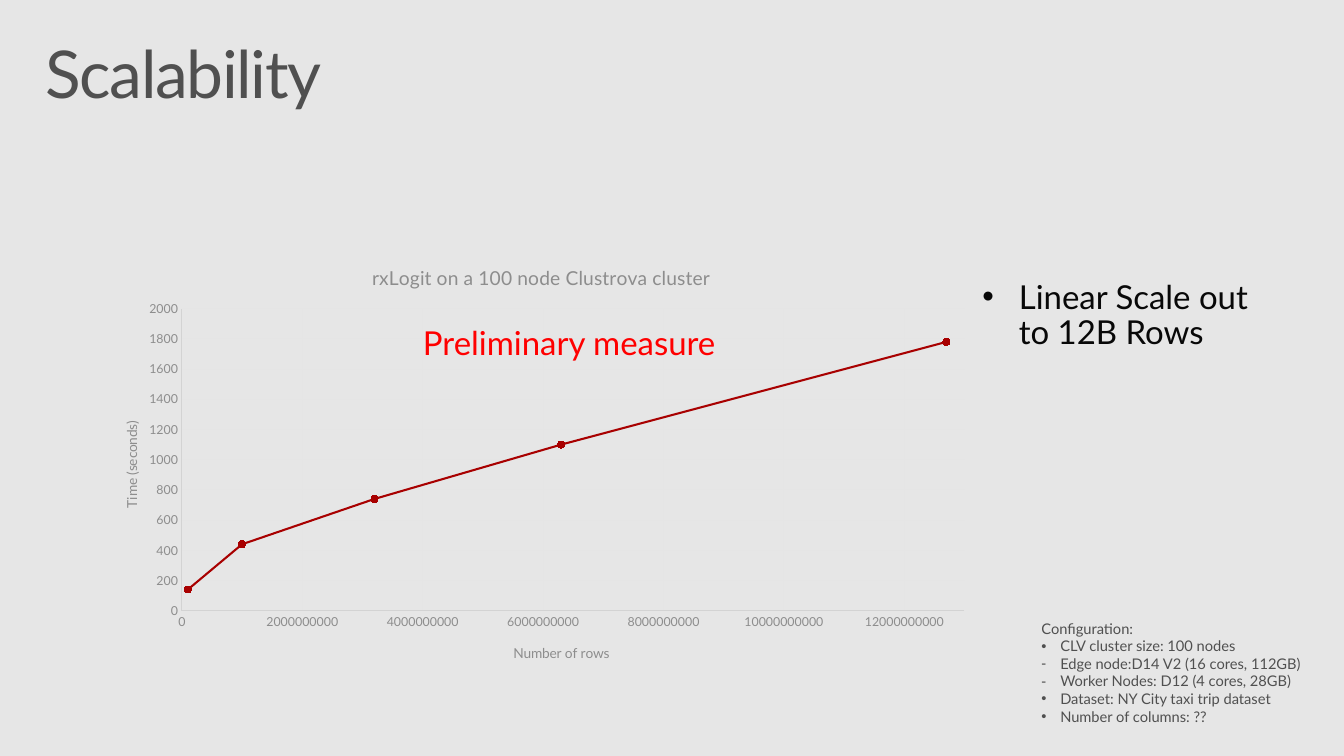
from dataclasses import dataclass

from lxml.etree import SubElement
from pptx import Presentation
from pptx.chart.data import XyChartData
from pptx.dml.color import RGBColor
from pptx.enum.chart import XL_CHART_TYPE, XL_MARKER_STYLE, XL_TICK_MARK
from pptx.enum.text import MSO_AUTO_SIZE
from pptx.oxml import parse_xml
from pptx.oxml.ns import nsdecls, qn
from pptx.util import Inches, Pt


@dataclass(frozen=True)
class Theme:
    font: str = "Lato"
    background: str = "E6E6E6"
    text: str = "505050"
    muted: str = "8D8D8D"
    dark: str = "080808"
    warning: str = "FF0000"
    series: str = "A80000"
    axis: str = "D3D3D3"
    grid: str = "E5E5E5"
    heading_size: float = 48
    callout_size: float = 24
    chart_title_size: float = 14
    axis_title_size: float = 10
    tick_size: float = 9
    note_size: float = 10.7


@dataclass(frozen=True)
class Line:
    text: str
    bullet: str = ""


@dataclass(frozen=True)
class TextBlock:
    left: float
    top: float
    width: float
    height: float
    lines: tuple[Line, ...]
    size: float
    color: str
    inset: tuple[float, float] = (0.1, 0.05)
    indent: float = 0
    line_spacing: float = 1
    space_after: float = 0
    tracking: float = 0
    wrap: bool = True
    grow: bool = True


THEME = Theme()
CALLOUT = dict(size=THEME.callout_size, inset=(0.2, 0.16), line_spacing=0.9, space_after=6)
HEADING = TextBlock(0.3, 0.32, 13, 1, (Line("Scalability"),), THEME.heading_size, THEME.text,
                    inset=(0.16, 0.1), line_spacing=0.9, tracking=-1, grow=False)
CONFIGURATION = TextBlock(10.44, 6.22, 3.15, 1.21, (
    Line("Configuration:"),
    Line("CLV cluster size: 100 nodes", "•"),
    Line("Edge node:D14 V2 (16 cores, 112GB)", "-"),
    Line("Worker Nodes: D12 (4 cores, 28GB)", "-"),
    Line("Dataset: NY City taxi trip dataset", "•"),
    Line("Number of columns: ??", "•"),
), THEME.note_size, THEME.text, indent=0.19)
PRELIMINARY = TextBlock(4.08, 3.15, 3.41, 0.69, (Line("Preliminary measure"),),
                        color=THEME.warning, wrap=False, **CALLOUT)
TAKEAWAY = TextBlock(9.74, 2.68, 3.34, 1.06, (Line("Linear Scale out to 12B Rows", "•"),),
                     color=THEME.dark, indent=0.37, **CALLOUT)
TIMINGS = ((100_000_000, 140), (1_000_000_000, 440), (3_200_000_000, 740),
           (6_300_000_000, 1100), (12_700_000_000, 1780))


def style_font(font, size: float, color: str) -> None:
    font.name = THEME.font
    font.size = Pt(size)
    font.bold = False
    font.color.rgb = RGBColor.from_string(color)


def style_line(line, color: str, width: float) -> None:
    line.color.rgb = RGBColor.from_string(color)
    line.width = Pt(width)


def add_bullet(para, character: str, indent: float) -> None:
    properties = para._p.get_or_add_pPr()
    properties.set("marL", str(Inches(indent)))
    properties.set("indent", str(-Inches(indent)))
    properties.append(parse_xml(f'<a:buFont {nsdecls("a")} typeface="Arial"/>'))
    properties.append(parse_xml(f'<a:buChar {nsdecls("a")} char="{character}"/>'))


def add_text(page, block: TextBlock) -> None:
    box = page.shapes.add_textbox(Inches(block.left), Inches(block.top),
                                  Inches(block.width), Inches(block.height))
    frame = box.text_frame
    frame.word_wrap = block.wrap
    frame.auto_size = MSO_AUTO_SIZE.SHAPE_TO_FIT_TEXT if block.grow else MSO_AUTO_SIZE.NONE
    frame.margin_left = frame.margin_right = Inches(block.inset[0])
    frame.margin_top = frame.margin_bottom = Inches(block.inset[1])
    for index, line in enumerate(block.lines):
        para = frame.add_paragraph() if index else frame.paragraphs[0]
        para.line_spacing = block.line_spacing
        para.space_after = Pt(block.space_after)
        if line.bullet:
            add_bullet(para, line.bullet, block.indent)
        span = para.add_run()
        span.text = line.text
        style_font(span.font, block.size, block.color)
        if block.tracking:
            span._r.get_or_add_rPr().set("spc", str(round(block.tracking * 100)))


def place(element, **fractions: float) -> None:
    """Position a chart part by fractions of the chart's size."""
    layout = element.find(qn("c:layout"))
    if layout is None:
        layout = element.makeelement(qn("c:layout"))
        text = element.find(qn("c:tx"))
        element.insert(0 if text is None else 1, layout)
    manual = SubElement(layout, qn("c:manualLayout"))
    if "w" in fractions:
        SubElement(manual, qn("c:layoutTarget")).set("val", "inner")
    for name in ("x", "y"):
        SubElement(manual, qn(f"c:{name}Mode")).set("val", "edge")
    for name, value in fractions.items():
        SubElement(manual, qn(f"c:{name}")).set("val", str(value))


def set_title(title, text: str, size: float, x: float, y: float, rotation: int = 0) -> None:
    frame = title.text_frame
    span = frame.paragraphs[0].add_run()
    span.text = text
    style_font(span.font, size, THEME.muted)
    frame._txBody.bodyPr.set("rot", str(rotation * 60000))
    place(title._element, x=x, y=y)


def style_axis(axis, maximum: float, step: float) -> None:
    axis.minimum_scale, axis.maximum_scale, axis.major_unit = 0, maximum, step
    axis.major_tick_mark = axis.minor_tick_mark = XL_TICK_MARK.NONE
    axis.has_major_gridlines = True
    style_line(axis.major_gridlines.format.line, THEME.grid, 0.75)
    style_line(axis.format.line, THEME.axis, 0.75)
    style_font(axis.tick_labels.font, THEME.tick_size, THEME.muted)
    axis.tick_labels.number_format = "General"
    axis.tick_labels.number_format_is_linked = False


def add_timing_chart(page) -> None:
    data = XyChartData()
    timings = data.add_series("Series 1")
    for rows, seconds in TIMINGS:
        timings.add_data_point(rows, seconds)
    chart = page.shapes.add_chart(XL_CHART_TYPE.XY_SCATTER_LINES, Inches(0.94), Inches(2.46),
                                  Inches(9), Inches(4.43), data).chart
    style_font(chart.font, THEME.axis_title_size, THEME.text)
    chart.has_legend = False
    chart.has_title = True
    set_title(chart.chart_title, "rxLogit on a 100 node Clustrova cluster",
              THEME.chart_title_size, 0.31, 0.04)
    style_axis(chart.category_axis, 13_000_000_000, 2_000_000_000)
    style_axis(chart.value_axis, 2000, 200)
    set_title(chart.category_axis.axis_title, "Number of rows",
              THEME.axis_title_size, 0.47, 0.91)
    set_title(chart.value_axis.axis_title, "Time (seconds)",
              THEME.axis_title_size, 0.03, 0.4, rotation=-90)
    place(chart._chartSpace.chart.plotArea, x=0.1, y=0.15, w=0.88, h=0.69)

    plot = chart.plots[0]
    plot.vary_by_categories = False
    series = plot.series[0]
    series.smooth = False
    style_line(series.format.line, THEME.series, 1.5)
    series.marker.style = XL_MARKER_STYLE.CIRCLE
    series.marker.size = 5
    series.marker.format.fill.solid()
    series.marker.format.fill.fore_color.rgb = RGBColor.from_string(THEME.series)
    style_line(series.marker.format.line, THEME.series, 0.75)


def main() -> None:
    deck = Presentation()
    deck.slide_width, deck.slide_height = Inches(13.6), Inches(7.65)
    page = deck.slides.add_slide(deck.slide_layouts[6])
    page.background.fill.solid()
    page.background.fill.fore_color.rgb = RGBColor.from_string(THEME.background)
    add_text(page, HEADING)
    add_text(page, CONFIGURATION)
    add_timing_chart(page)
    add_text(page, PRELIMINARY)
    add_text(page, TAKEAWAY)
    deck.save("out.pptx")


if __name__ == "__main__":
    main()
